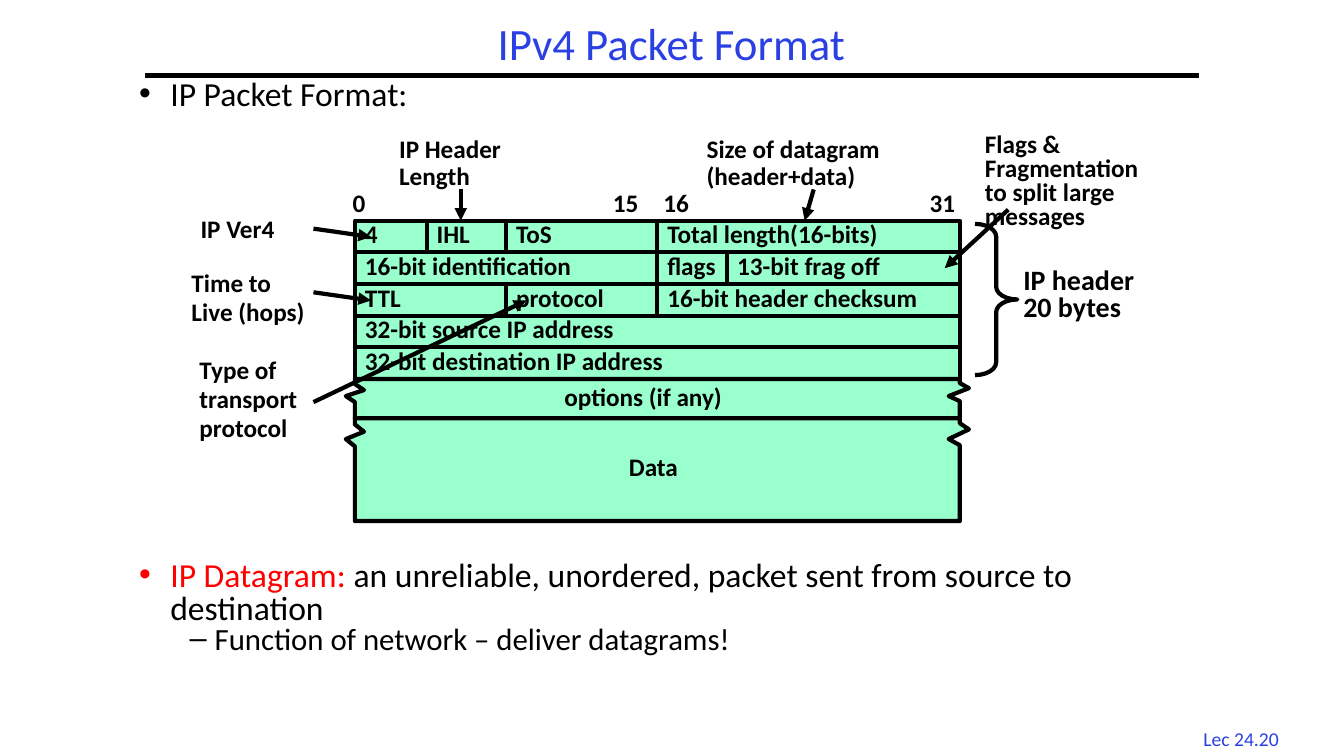
from typing import NamedTuple

from lxml.etree import SubElement
from pptx import Presentation
from pptx.dml.color import RGBColor
from pptx.enum.shapes import MSO_CONNECTOR, MSO_SHAPE
from pptx.enum.text import MSO_ANCHOR, MSO_AUTO_SIZE, PP_ALIGN
from pptx.oxml.ns import qn
from pptx.util import Inches, Pt

BIT, ROW = 0.1875, 0.314
HEADER_LEFT, HEADER_TOP = 3.52, 2.19
BLACK, BLUE, RED, MINT = "000000", "2A40E2", "FF0000", "99FFCC"


class Field(NamedTuple):
    row: int
    start: float
    end: float
    text: str


class Label(NamedTuple):
    col: float
    row: float
    cols: float
    lines: list[str]
    gap: float = 0
    size: float = 18


class Arrow(NamedTuple):
    col: float
    row: float
    end_col: float
    end_row: float


class Torn(NamedTuple):
    top: float
    bottom: float
    stretch: float


class Bullet(NamedTuple):
    runs: list[tuple[str, str]]
    mark: str
    size: float
    indent: float
    hang: float
    level: int = 0
    before: float = 0


FIELDS = [
    Field(0, 0, 3.9, "4"), Field(0, 8, 16, "ToS"),
    Field(0, 16, 32, "Total length(16-bits)"), Field(0, 3.8, 8, "IHL"),
    Field(1, 0, 16, "16-bit identification"),
    Field(1, 19.7, 32, "13-bit frag off"), Field(1, 16, 19.7, "flags"),
    Field(2, 0, 8, "TTL"), Field(2, 8, 16, "protocol"),
    Field(2, 16, 32, "16-bit header checksum"),
    Field(3, 0, 32, "32-bit source IP address"),
    Field(4, 0, 32, "32-bit destination IP address"),
]
TORN_BLOCKS = [Torn(5, 6.24, 1), Torn(6.24, 9.49, 1.22)]
LABELS = [
    Label(10.56, 5.1, 10.88, ["options (if any)"]),
    Label(13.97, 7.32, 4, ["Data"]),
    Label(-0.64, -1.02, 1.81, ["0"]),
    Label(13.12, -1.02, 2.56, ["15"]),
    Label(15.79, -1.02, 2.56, ["16"]),
    Label(29.87, -1.02, 2.56, ["31"]),
    Label(-8.69, -0.22, 5.55, ["IP Ver4"]),
    Label(1.81, -2.74, 7.25, ["IP Header", "Length"], 1.8),
    Label(18.08, -2.74, 11.84, ["Size of datagram", "(header+data)"], 1.8),
    Label(32.8, -2.9, 10.4,
          ["Flags &", "Fragmentation", "to split large", "messages"]),
    Label(-9.17, 1.5, 8.27, ["Time to", "Live (hops)"], 3.6),
    Label(-8.75, 4.24, 7.09, ["Type of", "transport", "protocol"], 3.6),
    Label(34.83, 1.37, 7.79, ["IP header", "20 bytes"], 0, 20),
]
ARROWS = [
    Arrow(-2.19, 0.25, 0.85, 0.51), Arrow(5.6, -0.99, 5.6, 0),
    Arrow(24.27, -0.99, 23.79, 0), Arrow(34.56, -0.35, 31.2, 1.5),
    Arrow(-2.19, 2.26, 0.85, 2.52), Arrow(-2.19, 5.73, 9.07, 2.52),
]
BULLETS = [
    Bullet([("IP Packet Format:", BLACK)], "•", 24, 0.31, 0.31),
    Bullet([("IP Datagram: ", RED),
            ("an unreliable, unordered, packet sent from source to destination", BLACK)],
           "•", 24, 0.31, 0.31, before=321),
    Bullet([("Function of network – deliver datagrams!", BLACK)],
           "–", 22, 0.75, 0.25, level=1),
]


def color(value: str) -> RGBColor:
    return RGBColor.from_string(value)


def x(col: float) -> int:
    return Inches(HEADER_LEFT + col * BIT)


def y(row: float) -> int:
    return Inches(HEADER_TOP + row * ROW)


def area(col: float, row: float, cols: float, rows: float) -> tuple[int, int, int, int]:
    return x(col), y(row), Inches(cols * BIT), Inches(rows * ROW)


def place(placeholder, bounds: tuple[int, int, int, int]) -> None:
    placeholder.left, placeholder.top, placeholder.width, placeholder.height = bounds
    placeholder.text_frame.auto_size = MSO_AUTO_SIZE.NONE


def add_run(paragraph, text: str, size: float, ink: str, bold: bool = False) -> None:
    run = paragraph.add_run()
    run.text = text
    run.font.name = "Calibri"
    run.font.size = Pt(size)
    run.font.bold = bold
    run.font.color.rgb = color(ink)


def next_paragraph(frame, index: int, spacing: float, before: float = 0):
    paragraph = frame.add_paragraph() if index else frame.paragraphs[0]
    paragraph.line_spacing = spacing
    paragraph.space_before = Pt(before if index else 0)
    return paragraph


def outline(shape) -> None:
    shape.line.color.rgb = color(BLACK)
    shape.line.width = Pt(3)


def paint(shape) -> None:
    shape.shadow.inherit = False
    shape.fill.solid()
    shape.fill.fore_color.rgb = color(MINT)
    outline(shape)


def draw_line(slide, line: Arrow, head: bool) -> None:
    connector = slide.shapes.add_connector(
        MSO_CONNECTOR.STRAIGHT, x(line.col), y(line.row), x(line.end_col), y(line.end_row))
    outline(connector)
    if head:
        SubElement(connector.line._get_or_add_ln(), qn("a:tailEnd"), type="triangle")
    SubElement(connector._element.spPr, qn("a:effectLst"))


def draw_field(slide, field: Field) -> None:
    cell = slide.shapes.add_shape(
        MSO_SHAPE.RECTANGLE, *area(field.start, field.row, field.end - field.start, 1))
    paint(cell)
    cell.text_frame.word_wrap = False
    cell.text_frame.vertical_anchor = MSO_ANCHOR.MIDDLE
    paragraph = next_paragraph(cell.text_frame, 0, 0.8)
    paragraph.alignment = PP_ALIGN.LEFT
    add_run(paragraph, field.text, 18, BLACK, True)


def draw_torn(slide, block: Torn) -> None:
    right = [(31.41, 0.7), (32.48, 0.54), (31.41 + 0.59, 0.29 - 0.16), (32, 0)]
    right = [(32, 0.7), (31.41, 0.54), (32.48, 0.29), (32, 0.13), (32, 0)]
    left = [(0, 0), (0, 0.16), (0.48, 0.35), (-0.48, 0.54), (0, 0.73)]
    edge = [(x(col), y(block.top + depth * block.stretch)) for col, depth in right + left]
    builder = slide.shapes.build_freeform(x(0), y(block.bottom), scale=1.0)
    builder.add_line_segments([(x(32), y(block.bottom)), *edge], close=True)
    paint(builder.convert_to_shape())


def draw_label(slide, label: Label) -> None:
    box = slide.shapes.add_textbox(
        *area(label.col, label.row, label.cols, 0.23 + 0.85 * len(label.lines)))
    box.text_frame.word_wrap = True
    for index, text in enumerate(label.lines):
        paragraph = next_paragraph(box.text_frame, index, 0.8, label.gap)
        add_run(paragraph, text, label.size, BLACK, True)


def write_bullet(frame, index: int, bullet: Bullet) -> None:
    paragraph = next_paragraph(frame, index, 0.8, bullet.before)
    paragraph.level = bullet.level
    properties = paragraph._p.get_or_add_pPr()
    properties.set("marL", str(Inches(bullet.indent)))
    properties.set("indent", str(-Inches(bullet.hang)))
    SubElement(properties, qn("a:buChar"), char=bullet.mark)
    for text, ink in bullet.runs:
        add_run(paragraph, text, bullet.size, ink)


def main() -> None:
    deck = Presentation()
    deck.slide_width, deck.slide_height = Inches(13.33), Inches(7.5)
    slide = deck.slides.add_slide(deck.slide_layouts[1])
    title, body = slide.placeholders

    place(title, area(-11.09, -6.43, 55.68, 1.85))
    title.text_frame.vertical_anchor = MSO_ANCHOR.MIDDLE
    heading = next_paragraph(title.text_frame, 0, 0.9)
    heading.alignment = PP_ALIGN.CENTER
    add_run(heading, "IPv4 Packet Format", 32, BLUE)
    draw_line(slide, Arrow(-11.09, -4.59, 44.64, -4.59), False)

    place(body, area(-11.95, -4.59, 57.17, 20.51))
    for index, bullet in enumerate(BULLETS):
        write_bullet(body.text_frame, index, bullet)

    for field in FIELDS:
        draw_field(slide, field)
    for block in TORN_BLOCKS:
        draw_torn(slide, block)
    for label in LABELS:
        draw_label(slide, label)
    for arrow in ARROWS:
        draw_line(slide, arrow, True)

    brace = slide.shapes.add_shape(MSO_SHAPE.RIGHT_BRACE, *area(32.8, 0.1, 2.24, 4.78))
    brace.shadow.inherit = False
    brace.fill.background()
    outline(brace)
    brace.adjustments[0] = 0.3

    lecture = slide.shapes.add_textbox(*area(44, 15.83, 5.76, 1.05))
    lecture.text_frame.word_wrap = False
    number = next_paragraph(lecture.text_frame, 0, 1.0)
    number.alignment = PP_ALIGN.CENTER
    add_run(number, "Lec 24.20", 14, BLUE)
    deck.save("out.pptx")


if __name__ == "__main__":
    main()
